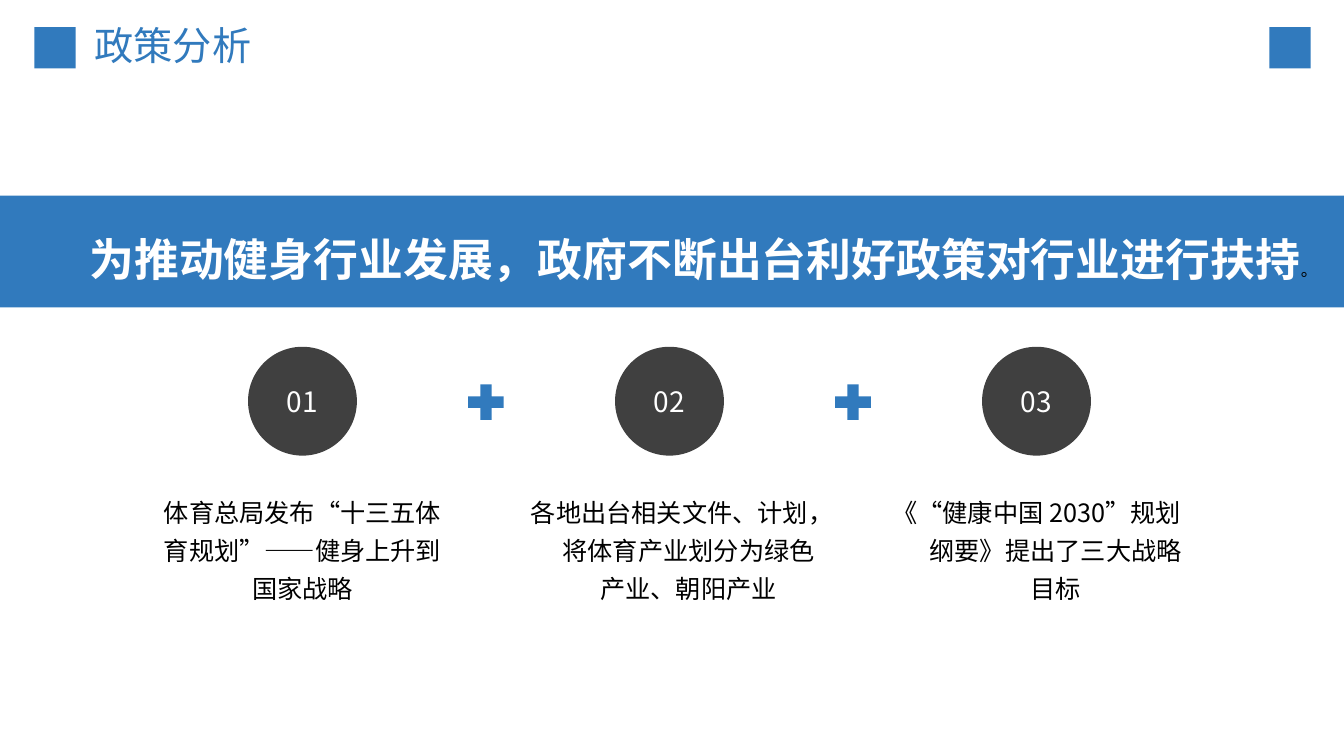
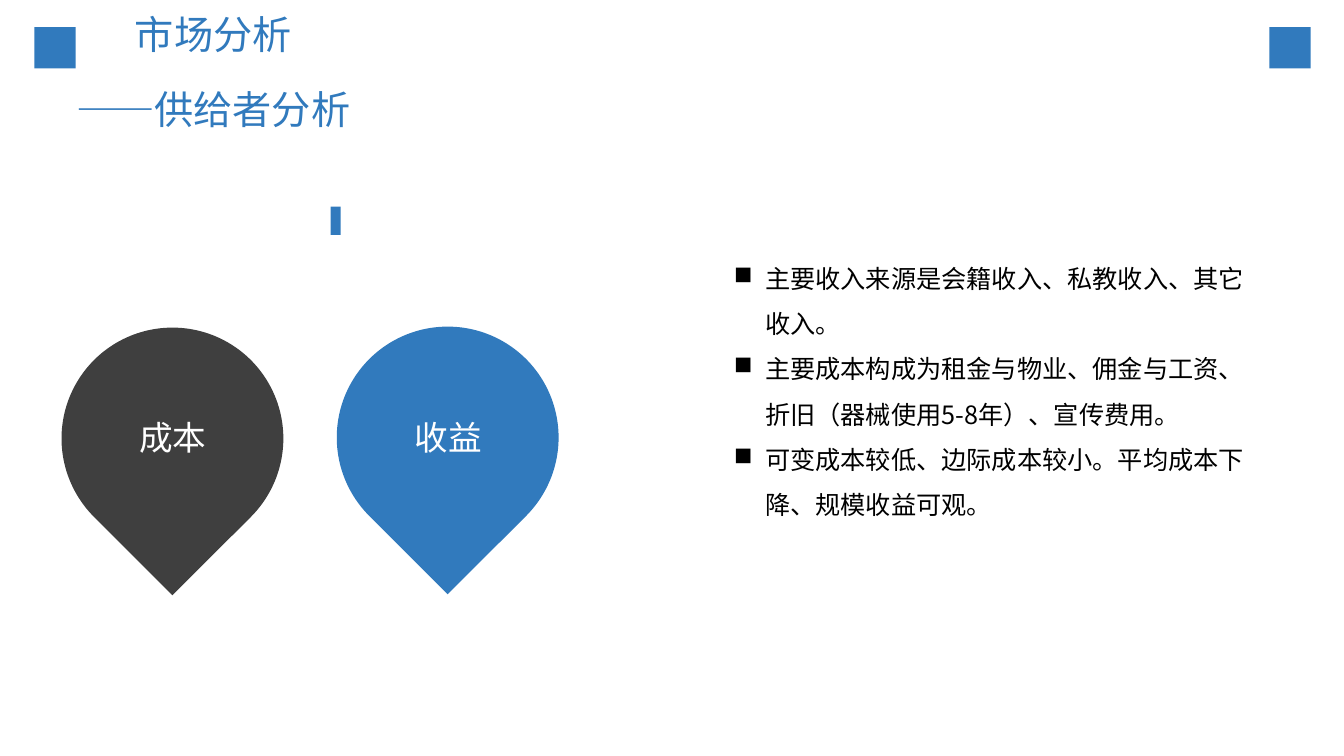
import lxml.etree
import pptx
import pptx.dml.color
import pptx.enum.shapes
import pptx.enum.text
import pptx.oxml.ns
import pptx.util

Inches = pptx.util.Inches
Pt = pptx.util.Pt
RGB = pptx.dml.color.RGBColor
Shape = pptx.enum.shapes.MSO_SHAPE
Align = pptx.enum.text.PP_ALIGN
Anchor = pptx.enum.text.MSO_ANCHOR
Fit = pptx.enum.text.MSO_AUTO_SIZE
qn = pptx.oxml.ns.qn


class Theme:
    blue = RGB.from_string("317ABD")
    dark = RGB.from_string("404040")
    slate = RGB.from_string("3F3F3F")
    white = RGB.from_string("FFFFFF")
    black = RGB.from_string("000000")
    face = "Noto Sans CJK SC"
    title = Pt(28)
    lead = Pt(32)
    label = Pt(24)
    mark = Pt(20)
    body = Pt(18)
    small = Pt(12)


def draw(slide, kind, box, fill):
    shape = slide.shapes.add_shape(kind, *map(Inches, box))
    shape.shadow.inherit = False
    shape.fill.solid()
    shape.fill.fore_color.rgb = fill
    shape.line.fill.background()
    return shape


def write(frame, lines, size, color, form, left=0, first=0, bullet=None):
    """Fill a text frame, one paragraph per line; left and first are indents in inches."""
    frame.word_wrap = True
    for n, line in enumerate(lines):
        para = frame.add_paragraph() if n else frame.paragraphs[0]
        if left or first:
            props = para._p.get_or_add_pPr()
            props.set("marL", str(Inches(left)))
            props.set("indent", str(Inches(first)))
            if bullet:
                lxml.etree.SubElement(props, qn("a:buChar"), char=bullet)
        for key, value in form.items():
            setattr(para, key, value)
        run = para.add_run()
        run.text = line
        for key, value in {"name": Theme.face, "size": size}.items():
            setattr(run.font, key, value)
        run.font.color.rgb = color


deck = pptx.Presentation()
deck.slide_width = Inches(13.33)
deck.slide_height = Inches(7.5)
layout = deck.slide_layouts[5]
center = {"alignment": Align.CENTER}

# Titles
heads = [
    (["政策分析"], (0, 0.21)),
    (["市场分析", "——供给者分析"], (0.4, 0.47)),
]
for lines, (x, y) in heads:
    slide = deck.slides.add_slide(layout)
    title = slide.shapes.title
    place = {"left": x, "top": y, "width": 3.43, "height": 0.53}
    for key, value in place.items():
        setattr(title, key, Inches(value))
    frame = title.text_frame
    write(frame, lines, Theme.title, Theme.blue, center | {"line_spacing": 0.9})
    frame.word_wrap = False
    frame.auto_size = Fit.NONE
    frame.vertical_anchor = Anchor.MIDDLE
    for para in frame.paragraphs[1:]:
        para.space_before = Pt(23)
policy, market = deck.slides

# Corner squares belong to the layout
for x in (0.34, 12.59):
    square = draw(policy, Shape.RECTANGLE, (x, 0.27, 0.41, 0.41), Theme.blue)
    layout.shapes.element.append(square.element)

# Policy: three points joined by plus signs
points = [
    ("体育总局发布“十三五体育规划”——健身上升到国家战略", 0),
    ("各地出台相关文件、计划，将体育产业划分为绿色产业、朝阳产业", 0.38),
    ("《“健康中国 2030”规划纲要》提出了三大战略目标", 0.38),
]
width = 3.16
step = 3.64
form = center | {"line_spacing": 1.25, "space_after": Pt(6)}
for n, (text, hang) in enumerate(points):
    x = 1.42 + n * step
    disc = draw(policy, Shape.OVAL, (x + 1.04, 3.44, 1.08, 1.08), Theme.dark)
    disc.text_frame.vertical_anchor = Anchor.MIDDLE
    write(disc.text_frame, [f"{n + 1:02}"], Theme.mark, Theme.white, center)
    note = policy.shapes.add_textbox(*map(Inches, (x, 4.81, width, 1.24)))
    write(note.text_frame, [text], Theme.body, Theme.black, form, hang, -hang)
    if n < len(points) - 1:
        draw(policy, Shape.MATH_PLUS, (x + width, 3.75, 0.48, 0.48), Theme.blue)

draw(policy, Shape.RECTANGLE, (0, 1.94, 13.33, 1.11), Theme.blue)
lead = policy.shapes.add_textbox(*map(Inches, (0.46, 2.25, 12.87, 0.64)))
frame = lead.text_frame
write(frame, ["为推动健身行业发展，政府不断出台利好政策对行业进行扶持"],
      Theme.lead, Theme.white, {}, first=0.33)
frame.word_wrap = False
frame.auto_size = Fit.SHAPE_TO_FIT_TEXT
frame.vertical_anchor = Anchor.MIDDLE
frame.paragraphs[0].runs[0].font.bold = True
stop = frame.paragraphs[0].add_run()
stop.text = "。"
for key, value in {"name": "Calibri", "size": Theme.small, "bold": False}.items():
    setattr(stop.font, key, value)
stop.font.color.rgb = Theme.black

# Market: two drops and a list
draw(market, Shape.RECTANGLE, (3.28, 2.05, 0.1, 0.28), Theme.blue)
drops = [("收益", 3.34, 3.24, Theme.blue), ("成本", 0.61, 3.25, Theme.slate)]
for text, x, y, fill in drops:
    drop = draw(market, Shape.TEAR, (x, y, 2.2, 2.2), fill)
    drop.rotation = 135
    label = market.shapes.add_textbox(*map(Inches, (x + 0.03, 4.09, 2.15, 0.5)))
    write(label.text_frame, [text], Theme.label, Theme.white, center)

facts = [
    "主要收入来源是会籍收入、私教收入、其它收入。",
    "主要成本构成为租金与物业、佣金与工资、折旧（器械使用5-8年）、宣传费用。",
    "可变成本较低、边际成本较小。平均成本下降、规模收益可观。",
]
notes = market.shapes.add_textbox(*map(Inches, (7.18, 2.41, 5.3, 2.83)))
write(notes.text_frame, facts, Theme.body, Theme.black, {"line_spacing": 1.5},
      0.31, -0.31, "■")

# Chinese text takes its face from the East Asian font
for slide in deck.slides:
    for latin in list(slide.element.iter(qn("a:latin"))):
        east = lxml.etree.Element(qn("a:ea"), typeface=latin.get("typeface"))
        latin.addnext(east)

deck.save("out.pptx")
